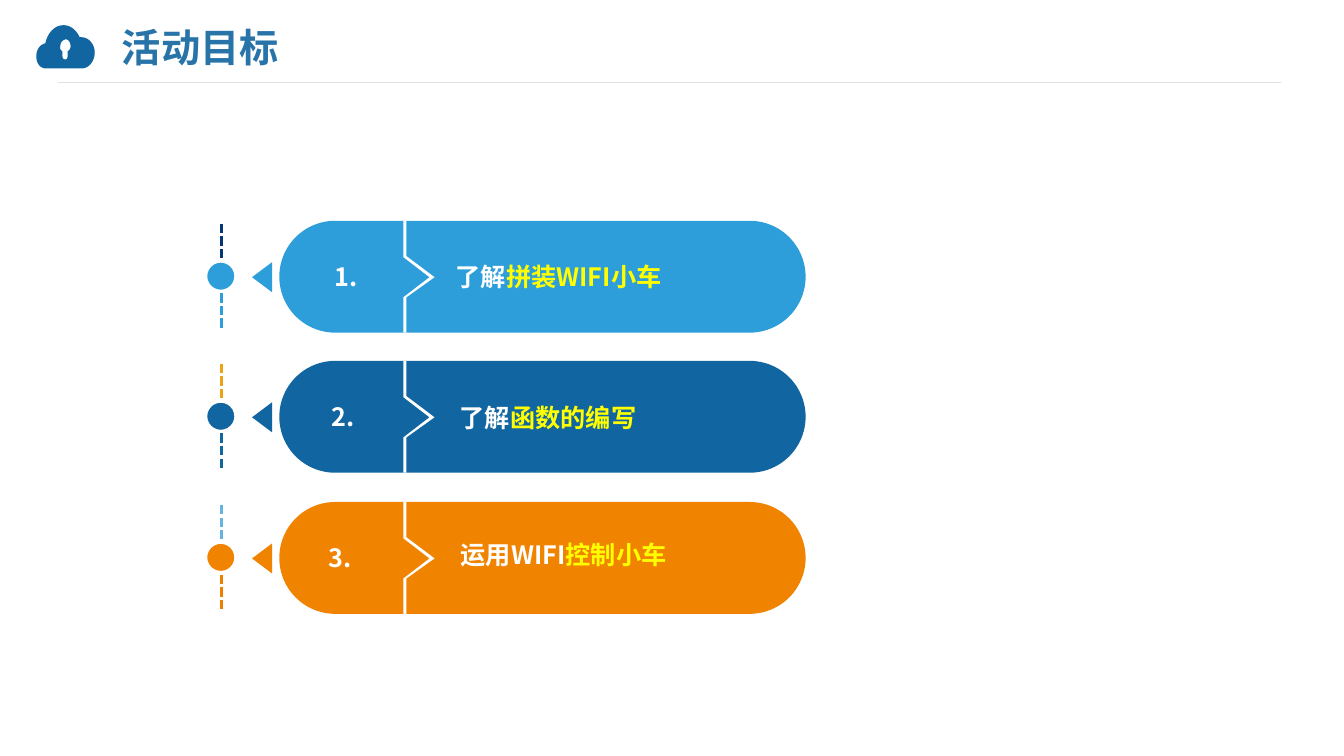
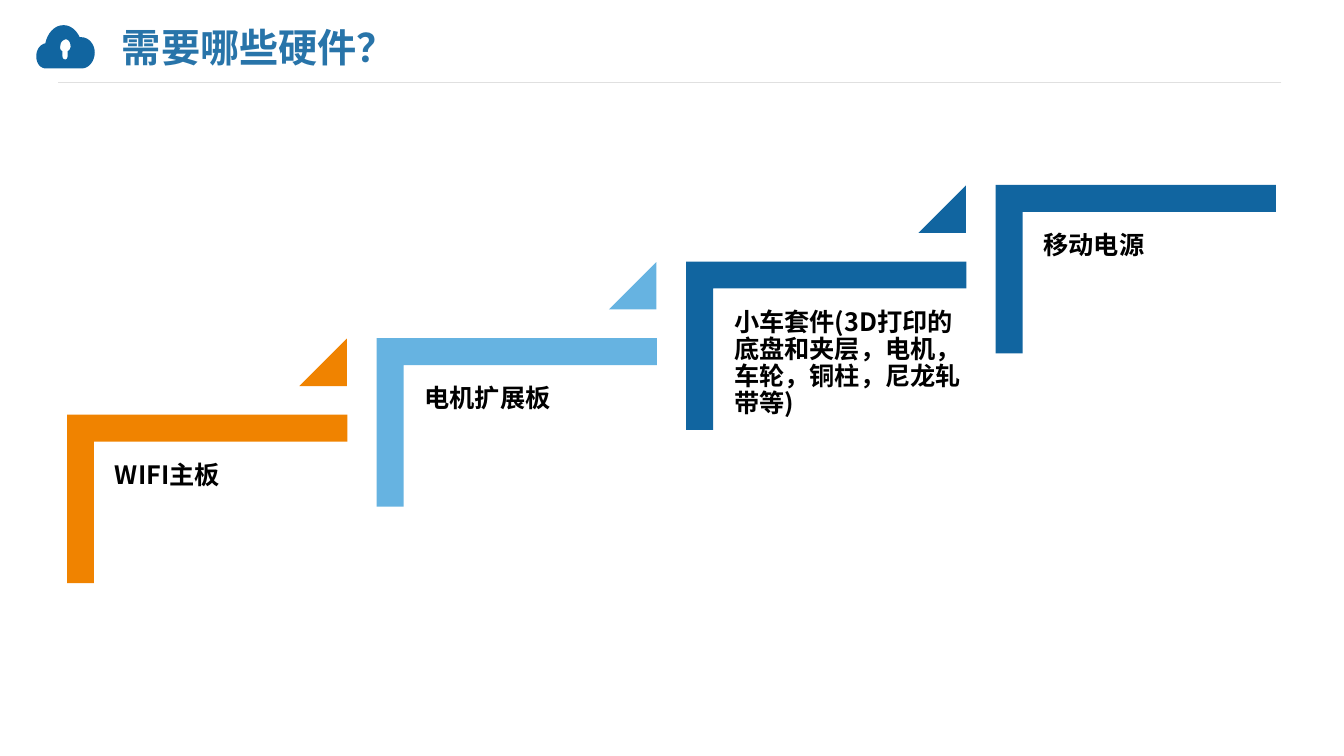
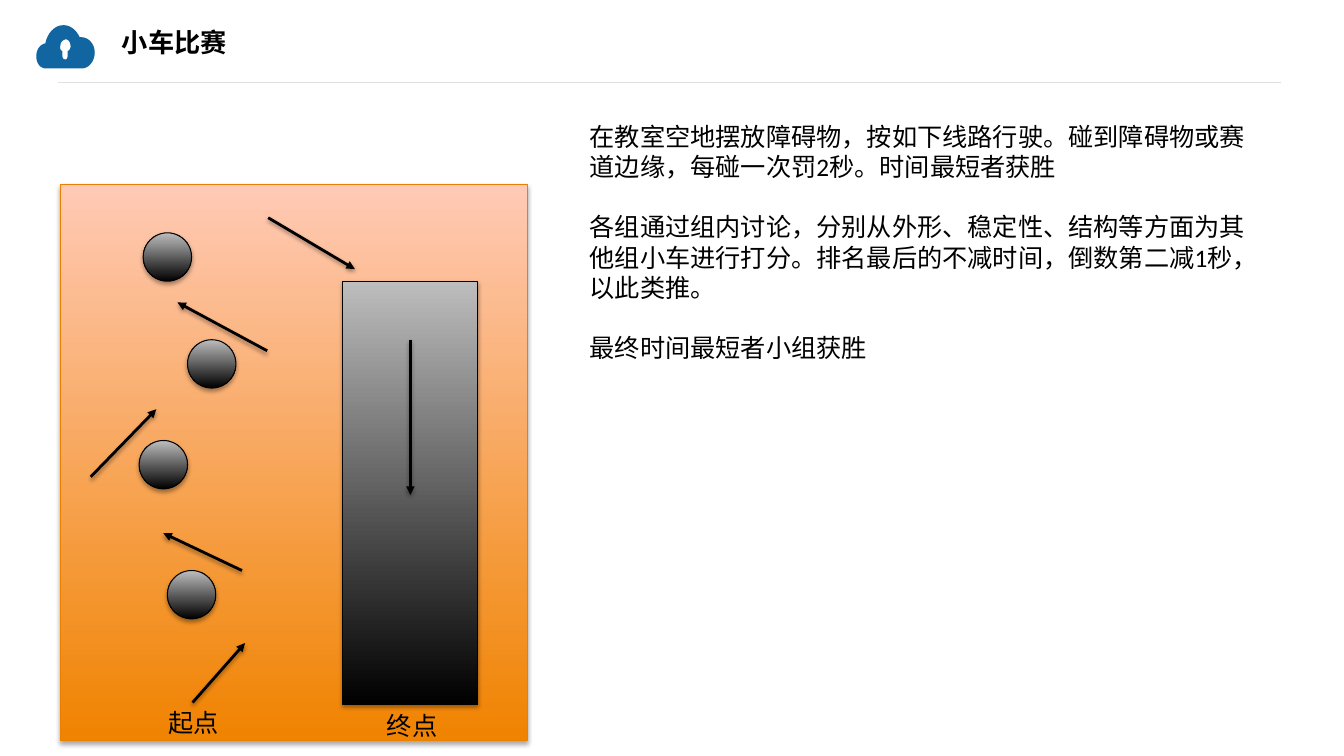
from lxml import etree
from pptx import Presentation
from pptx import util as u
from pptx.dml.color import RGBColor
from pptx.enum import dml, shapes, text
from pptx.oxml.ns import qn

PX = 9144  # EMU in one px: 100 px to the inch
colour = RGBColor.from_string
SANS = "Noto Sans CJK SC"
BLUE, SKY, PALE, ORANGE = "1165A0", "2E9EDA", "66B3E1", "F08300"
WHITE, BLACK, YELLOW = "FFFFFF", "000000", "FFFF00"
KIND = shapes.MSO_SHAPE
STRAIGHT = shapes.MSO_CONNECTOR.STRAIGHT


def paint(shape, fill=None, line=None, width=0.75):
    """Set fill (one colour, or a bottom-top pair) and line; return the empty effect list."""
    if isinstance(fill, tuple):
        shape.fill.gradient()
        shape.fill.gradient_angle = 90
        for stop, value in zip(shape.fill.gradient_stops, fill):
            stop.color.rgb = colour(value)
    elif fill:
        shape.fill.solid()
        shape.fill.fore_color.rgb = colour(fill)
    if line:
        shape.line.color.rgb = colour(line)
        shape.line.width = u.Pt(width)
    else:
        shape.line.fill.background()
    return etree.SubElement(shape.element.spPr, qn("a:effectLst"))


def write(paragraph, words, value, size=18, bold=True, name=SANS):
    run = paragraph.add_run()
    run.text = words
    run.font.size = u.Pt(size)
    run.font.bold = bold
    run.font.name = name
    run.font.color.rgb = colour(value)
    etree.SubElement(run.font._element, qn("a:ea"), typeface=SANS)


presentation = Presentation()
presentation.slide_width, presentation.slide_height = 1333 * PX, 750 * PX

# Shared layout: title place
layout = presentation.slide_layouts[5]
title = layout.placeholders[0]
title.left, title.top, title.width, title.height = [n * PX for n in (121, 20, 889, 52)]
frame = title.text_frame
frame.margin_left = frame.margin_top = frame.margin_right = frame.margin_bottom = 0
frame.vertical_anchor = text.MSO_ANCHOR.MIDDLE
frame.auto_size = text.MSO_AUTO_SIZE.NONE

# Slides with their titles
titles = [
    ("活动目标", "2874A9", 28, SANS),
    ("需要哪些硬件？", "2874A9", 28, SANS),
    ("小车比赛", BLACK, 18.7, "Manrope"),
]
slides = []
for words, value, size, name in titles:
    slide = presentation.slides.add_slide(layout)
    paragraph = slide.shapes.title.text_frame.paragraphs[0]
    paragraph.alignment = text.PP_ALIGN.LEFT
    write(paragraph, words, value, size, True, name)
    slides.append(slide)
goals, hardware, race = slides
title = race.shapes.title
title.left, title.top, title.width, title.height = [n * PX for n in (121, 16, 889, 52)]

# Shared layout: rule and cloud with a keyhole; three points make a curve, one a line
rule = goals.shapes.add_connector(STRAIGHT, 1271 * PX, 82 * PX, 58 * PX, 82 * PX)
paint(rule, line="E0E0E0")
cloud_outline = [
    (81, 37),
    [(80, 37), (80, 37), (79, 37)], [(76, 30), (70, 25), (63, 25)],
    [(54, 25), (47, 33), (45, 43)], [(40, 44), (36, 49), (36, 56)],
    [(36, 63), (40, 68), (46, 68)], [(81, 68)],
    [(88, 68), (94, 61), (94, 52)], [(94, 44), (88, 37), (81, 37)],
]
keyhole_outline = [
    (67, 51),
    [(67, 56)], [(67, 58), (66, 59), (65, 59)], [(63, 59), (62, 58), (62, 56)],
    [(62, 51)], [(60, 50), (59, 48), (60, 45)], [(60, 42), (62, 40), (65, 39)],
    [(68, 39), (70, 42), (70, 46)], [(70, 48), (69, 50), (67, 51)],
]
builder = goals.shapes.build_freeform(81 * PX, 37 * PX)
for start, *segments in (cloud_outline, keyhole_outline):
    builder.move_to(start[0] * PX, start[1] * PX)
    points = []
    for segment in segments:
        if len(segment) == 1:
            points += segment
        else:
            curve = [start] + segment
            for step in range(1, 9):
                t = step / 8
                weights = ((1 - t) ** 3, 3 * t * (1 - t) ** 2, 3 * t * t * (1 - t), t ** 3)
                points.append([sum(w * p[axis] for w, p in zip(weights, curve)) for axis in (0, 1)])
        start = segment[-1]
    builder.add_line_segments([(x * PX, y * PX) for x, y in points], close=True)
cloud = builder.convert_to_shape()
paint(cloud, BLUE)
for number, shape in enumerate((rule, cloud), 20):
    shape.element.xpath(".//p:cNvPr")[0].set("id", str(number))
    layout.element.cSld.spTree.append(shape.element)

# Slide 1: three goals; number box (left, width), caption box (left, top, width, height)
rows = [
    (SKY, "053675", SKY, (301, 84), (405, 257, 315, 34), "了解", "拼装WIFI小车"),
    (BLUE, "EBA417", BLUE, (301, 78), (409, 364, 358, 100), "了解", "函数的编写"),
    (ORANGE, PALE, "EB8000", (299, 76), (410, 492, 356, 115), "运用WIFI", "控制小车"),
]
notch = [(400, 36), (426, 56), (400, 76), (400, 111), (403, 111),
         (403, 76), (431, 56), (403, 35), (403, 0)]
for index, (fill, above, below, number_box, caption_box, plain, bright) in enumerate(rows):
    top = 219 + 279 * index // 2
    pill = goals.shapes.add_shape(KIND.ROUNDED_RECTANGLE, 277 * PX, top * PX, 522 * PX, 111 * PX)
    pill.adjustments[0] = 0.5
    paint(pill, fill)
    builder = goals.shapes.build_freeform(400 * PX, top * PX)
    builder.add_line_segments([(x * PX, (top + y) * PX) for x, y in notch], close=True)
    paint(builder.convert_to_shape(), WHITE)
    pointer = goals.shapes.add_shape(
        KIND.ISOSCELES_TRIANGLE, 245 * PX, (top + 46) * PX, 30 * PX, 20 * PX)
    pointer.rotation = 270
    paint(pointer, fill)

    # Timeline
    for value, start, end in ((above, 3, 39), (below, 72, 108)):
        dash = goals.shapes.add_connector(
            STRAIGHT, 220 * PX, (top + start) * PX, 220 * PX, (top + end) * PX)
        paint(dash, line=value, width=2.25)
        dash.line.dash_style = dml.MSO_LINE.SQUARE_DOT
    dot = goals.shapes.add_shape(KIND.OVAL, 204 * PX, (top + 40) * PX, 30 * PX, 30 * PX)
    paint(dot, fill, WHITE, 2.25)

    # Number and caption
    left, width = number_box
    number = goals.shapes.add_textbox(left * PX, (top + 35) * PX, width * PX, 34 * PX)
    number.text_frame.word_wrap = True
    paragraph = number.text_frame.paragraphs[0]
    paragraph.alignment = text.PP_ALIGN.CENTER
    write(paragraph, f"{index + 1}.", WHITE)
    caption = goals.shapes.add_textbox(*[n * PX for n in caption_box])
    frame = caption.text_frame
    frame.word_wrap = True
    frame.vertical_anchor = text.MSO_ANCHOR.MIDDLE
    frame.margin_left, frame.margin_right = 47 * PX, 24 * PX
    frame.margin_top = frame.margin_bottom = 0
    write(frame.paragraphs[0], plain, WHITE)
    write(frame.paragraphs[0], bright, YELLOW)

# Slide 2: rising steps
steps = [
    (ORANGE, "WIFI主板"),
    (PALE, "电机扩展板"),
    (BLUE, "小车套件(3D打印的底盘和夹层，电机，车轮，铜柱，尼龙轧带等)"),
    (BLUE, "移动电源"),
]
for index, (fill, words) in enumerate(steps):
    left, top = 122 + 307 * index, 356 - 76 * index
    corner = hardware.shapes.add_shape(KIND.CORNER, left * PX, top * PX, 167 * PX, 278 * PX)
    corner.rotation = 90
    corner.adjustments[0] = corner.adjustments[1] = 0.16
    paint(corner, fill)
    label = hardware.shapes.add_textbox(
        (left - 28) * PX, (top + 83) * PX, 251 * PX, 220 * PX)
    frame = label.text_frame
    frame.word_wrap = True
    frame.margin_left = frame.margin_top = 20 * PX
    frame.margin_right, frame.margin_bottom = 0, 7 * PX
    frame.paragraphs[0].line_spacing = 0.9
    write(frame.paragraphs[0], words, BLACK)
    if index < len(steps) - 1:
        wedge = hardware.shapes.add_shape(
            KIND.ISOSCELES_TRIANGLE, (left + 175) * PX, (top - 20) * PX, 47 * PX, 47 * PX)
        wedge.adjustments[0] = 1
        paint(wedge, fill)

# Slide 3: track parts
effects = []
grey = (BLACK, "BDBDBD")
track = [
    (KIND.RECTANGLE, 60, 183, 463, 552, (ORANGE, "FFCAB5"), "EB8000"),
    (KIND.RECTANGLE, 340, 279, 134, 420, grey, BLACK),
]
for left, top in ((142, 231), (186, 337), (138, 437), (166, 566)):
    track.append((KIND.OVAL, left, top, 48, 48, grey, BLACK))
for kind, left, top, width, height, fill, line in track:
    shape = race.shapes.add_shape(kind, left * PX, top * PX, width * PX, height * PX)
    effects.append((paint(shape, fill, line), 35))

# Rules of the race, start and finish labels
rules = [
    "在教室空地摆放障碍物，按如下线路行驶。碰到障碍物或赛道边缘，每碰一次罚2秒。时间最短者获胜",
    "各组通过组内讨论，分别从外形、稳定性、结构等方面为其他组小车进行打分。排名最后的不减时间，倒数第二减1秒，以此类推。",
    "最终时间最短者小组获胜",
]
texts = [
    ((575, 115, 690, 283), rules),
    ((157, 697, 86, 40), ["起点"]),
    ((374, 700, 86, 40), ["终点"]),
]
for box, lines in texts:
    frame = race.shapes.add_textbox(*[n * PX for n in box]).text_frame
    frame.word_wrap = True
    for index, words in enumerate(lines):
        paragraph = frame.add_paragraph() if index else frame.paragraphs[0]
        if index:
            paragraph.space_before = u.Pt(21.6)
        write(paragraph, words, BLACK, bold=False, name="Calibri")

# Route arrows
route = [
    (191, 697, 243, 638), (240, 566, 162, 529), (90, 473, 155, 406),
    (265, 348, 176, 300), (266, 216, 352, 267), (407, 337, 407, 491),
]
for ends in route:
    arrow = race.shapes.add_connector(STRAIGHT, *[n * PX for n in ends])
    effects.append((paint(arrow, line=BLACK, width=2), 38))
    etree.SubElement(arrow.element.spPr.find(qn("a:ln")), qn("a:tailEnd"), type="triangle")

# Soft shadows under the track parts and arrows
for effect, opacity in effects:
    shadow = etree.SubElement(effect, qn("a:outerShdw"), blurRad="39370", dist="22860",
                              dir="5400000", rotWithShape="0")
    tint = etree.SubElement(shadow, qn("a:srgbClr"), val=BLACK)
    etree.SubElement(tint, qn("a:alpha"), val=str(opacity * 1000))

presentation.save("out.pptx")
